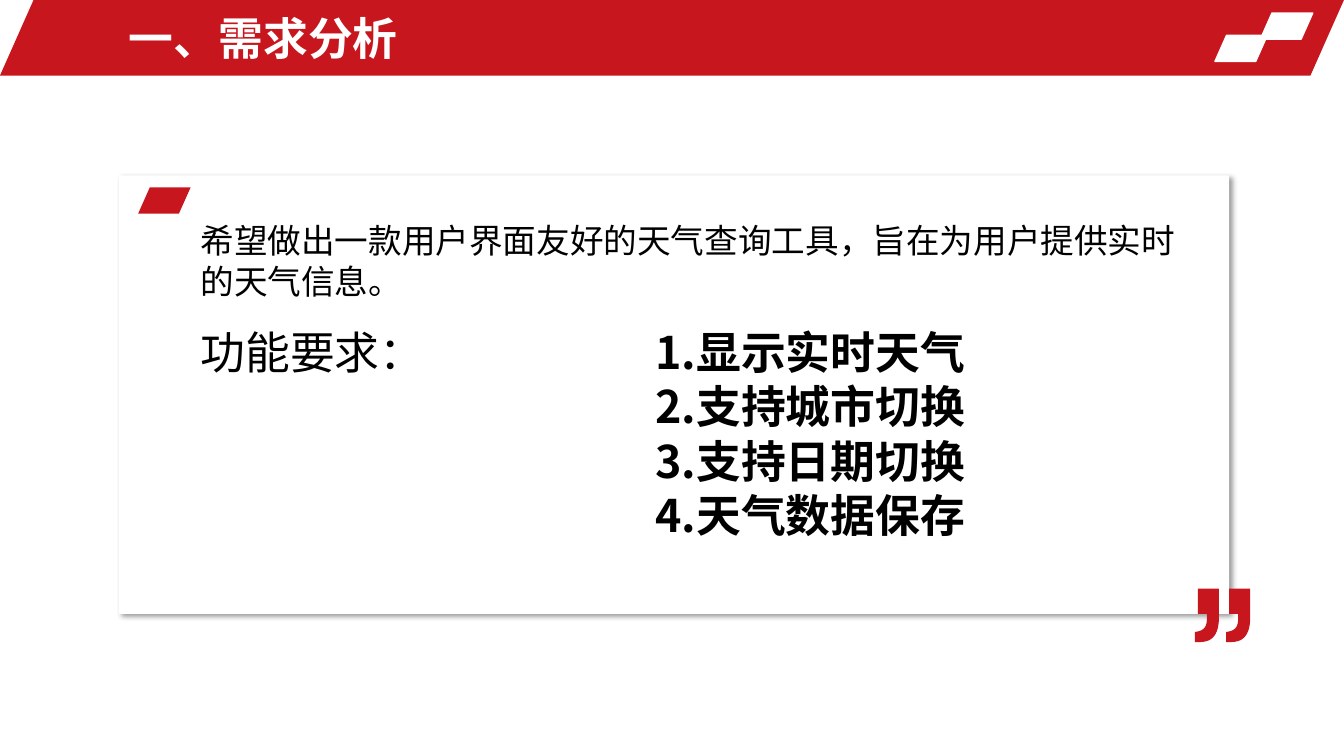
"""Builds the requirements analysis slide of a weather query tool."""
from lxml import etree
from pptx import Presentation
from pptx.dml.color import RGBColor
from pptx.enum.shapes import MSO_SHAPE
from pptx.enum.text import MSO_ANCHOR, PP_ALIGN
from pptx.oxml.ns import qn
from pptx.util import Inches, Pt

PARALLELOGRAM = MSO_SHAPE.PARALLELOGRAM
ROUNDED = MSO_SHAPE.ROUNDED_RECTANGLE
MIDDLE, TOP, LEFT = MSO_ANCHOR.MIDDLE, MSO_ANCHOR.TOP, PP_ALIGN.LEFT

RED, WHITE, BLACK = "C8161E", "FFFFFF", "000000"
LATIN, CHINESE = "Arial", "Noto Sans CJK SC"
LINE_RATIO = 1.21
SLANT = 0.444

TITLE = "一、需求分析"
GOAL = "希望做出一款用户界面友好的天气查询工具，旨在为用户提供实时的天气信息。"
HEADING = "功能要求："
FEATURES = ["显示实时天气", "支持城市切换", "支持日期切换", "天气数据保存"]

BANNER = (0, 0, 13.33, 0.75)
BANNER_TILES = [(12.5, 0.13, 0.52, 0.26), (12.05, 0.35, 0.52, 0.26)]
CARD = (1.18, 1.74, 11.01, 4.35)
CARD_TILE = (1.37, 1.86, 0.52, 0.26)

QUOTE_ORIGIN = (11.85, 5.84)
QUOTE_STEP = 0.31
OUTER_CURVE = [(0.24, 0.28), (0.24, 0.45), (0.18, 0.53), (0.05, 0.53)]
INNER_CURVE = [(0, 0.43), (0.09, 0.42), (0.12, 0.38), (0.12, 0.3)]

TEXTS = [
    ((1.18, 0.05, 7.74, 0.65), [TITLE], 32, LATIN, WHITE, True, MIDDLE, None),
    ((1.89, 2.13, 9.96, 0.91), [GOAL], 24, LATIN, BLACK, False, TOP, LINE_RATIO),
    ((1.89, 3.17, 2.36, 0.64), [HEADING], 32, LATIN, BLACK, False, TOP, LINE_RATIO),
    ((6.4, 3.17, 4.68, 2.38),
     [f"{number}.{feature}" for number, feature in enumerate(FEATURES, 1)],
     32, CHINESE, BLACK, True, TOP, LINE_RATIO),
]


def color(value):
    return RGBColor.from_string(value)


def paint(shape, fill, outline=None):
    shape.shadow.inherit = False
    shape.fill.solid()
    shape.fill.fore_color.rgb = color(fill)
    if outline:
        shape.line.color.rgb = color(outline)
        shape.line.width = Pt(1)
    else:
        shape.line.fill.background()


def add_block(slide, preset, box, adjustment, fill, outline=None):
    block = slide.shapes.add_shape(preset, *map(Inches, box))
    block.adjustments[0] = adjustment
    paint(block, fill, outline)
    return block


def cast_shadow(shape):
    effects = shape.element.spPr.find(qn("a:effectLst"))
    shadow = etree.SubElement(effects, qn("a:outerShdw"), blurRad=str(Pt(4)),
                              dist=str(Pt(3)), dir="2700000", algn="tl", rotWithShape="0")
    tint = etree.SubElement(shadow, qn("a:srgbClr"), val=BLACK)
    etree.SubElement(tint, qn("a:alpha"), val="40000")


def curve_points(controls, steps=12):
    def blend(t, axis):
        a, b, c, d = (point[axis] for point in controls)
        s = 1 - t
        return s**3 * a + 3 * s**2 * t * b + 3 * s * t**2 * c + t**3 * d
    return [(blend(i / steps, 0), blend(i / steps, 1)) for i in range(steps + 1)]


def add_quote(slide):
    outline = [(0.03, 0), (0.24, 0), *curve_points(OUTER_CURVE), (0, 0.53),
               *curve_points(INNER_CURVE), (0.12, 0.25), (0.03, 0.25)]
    left, top = QUOTE_ORIGIN
    marks = [[(Inches(left + index * QUOTE_STEP + x), Inches(top + y)) for x, y in outline]
             for index in range(2)]
    builder = slide.shapes.build_freeform(*marks[0][0])
    builder.add_line_segments(marks[0][1:], close=True)
    builder.move_to(*marks[1][0])
    builder.add_line_segments(marks[1][1:], close=True)
    paint(builder.convert_to_shape(), RED)


def add_text(slide, box, lines, size, typeface, ink, bold, anchor, spacing):
    frame = slide.shapes.add_textbox(*map(Inches, box)).text_frame
    frame.word_wrap = True
    frame.vertical_anchor = anchor
    for index, line in enumerate(lines):
        paragraph = frame.add_paragraph() if index else frame.paragraphs[0]
        paragraph.alignment = LEFT
        if spacing:
            paragraph.line_spacing = Pt(size * spacing)
        run = paragraph.add_run()
        run.text = line
        run.font.size = Pt(size)
        run.font.bold = bold
        run.font.color.rgb = color(ink)
        run.font.name = typeface
        latin = run.font._element.find(qn("a:latin"))
        latin.addnext(latin.makeelement(qn("a:ea"), {"typeface": CHINESE}))


def main():
    deck = Presentation()
    deck.slide_width, deck.slide_height = Inches(13.33), Inches(7.5)
    slide = deck.slides.add_slide(deck.slide_layouts[6])
    add_block(slide, PARALLELOGRAM, BANNER, SLANT, RED)
    for tile in BANNER_TILES:
        add_block(slide, PARALLELOGRAM, tile, SLANT, WHITE, WHITE)
    cast_shadow(add_block(slide, ROUNDED, CARD, 0, WHITE))
    add_block(slide, PARALLELOGRAM, CARD_TILE, SLANT, RED)
    add_quote(slide)
    for text in TEXTS:
        add_text(slide, *text)
    deck.save("out.pptx")


if __name__ == "__main__":
    main()
